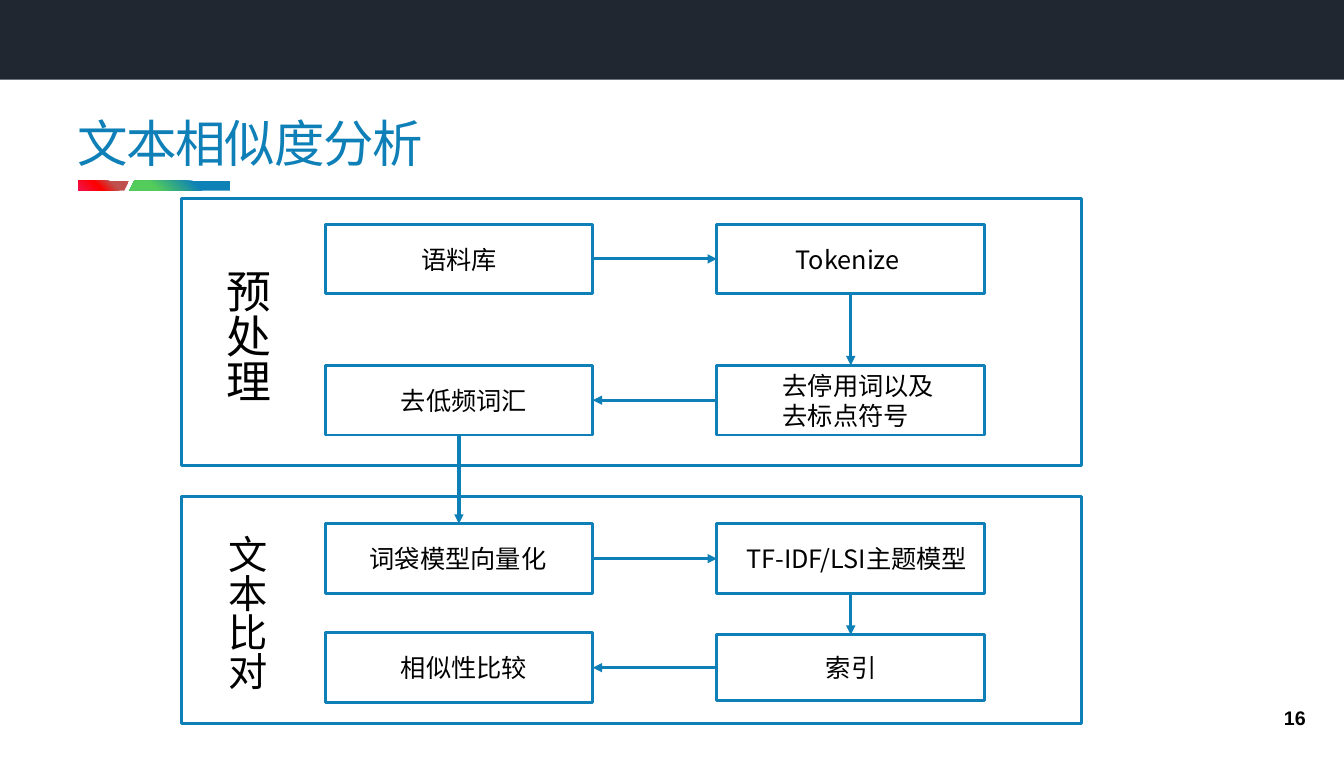
"""Build the text similarity slide: two framed stages of linked steps."""
from lxml import etree
from pptx import Presentation
from pptx.dml.color import RGBColor
from pptx.enum.shapes import MSO_CONNECTOR, MSO_SHAPE
from pptx.enum.text import MSO_ANCHOR, PP_ALIGN
from pptx.oxml import parse_xml
from pptx.oxml.ns import nsdecls, qn
from pptx.util import Inches, Pt

RECT = MSO_SHAPE.RECTANGLE
LINE = MSO_CONNECTOR.STRAIGHT
MID = MSO_ANCHOR.MIDDLE
LEFT, RIGHT = PP_ALIGN.LEFT, PP_ALIGN.RIGHT
TOP, WEST, BASE, EAST = range(4)
HAN = "Noto Sans CJK SC"
HUE = {"blue": "0E80B7", "navy": "202731", "black": "000000"}


def write(shape, text, size, hue="black", face=HAN, align=LEFT):
    frame = shape.text_frame
    frame.word_wrap = True
    frame.text = text
    para = frame.paragraphs[0]
    para.alignment = align
    font = para.runs[0].font
    font.size, font.name = Pt(size), face
    font.color.rgb = RGBColor.from_string(HUE[hue])
    etree.SubElement(para.runs[0]._r.get_or_add_rPr(), qn("a:ea")).set("typeface", face)
    return font


def box(left, top, width, height):
    shape = shapes.add_shape(RECT, *map(Inches, (left, top, width, height)))
    shape.shadow.inherit = False
    shape.fill.background()
    shape.line.color.rgb = RGBColor.from_string(HUE["blue"])
    shape.line.width = Pt(2.08)
    return shape


deck = Presentation()
deck.slide_width, deck.slide_height = Inches(13.31), Inches(7.5)
slide = deck.slides.add_slide(deck.slide_layouts[5])
shapes = slide.shapes

band = box(0, 0, 13.31, 0.79)
band.fill.solid()
band.fill.fore_color.rgb = RGBColor.from_string(HUE["navy"])
band.line.fill.background()

strips = [
    ([(0.78, 1.79), (1.28, 1.79), (1.23, 1.89), (0.78, 1.89)],
     [(0, "F0134E"), (40, "FF0000"), (68, "C0504D")]),
    ([(1.33, 1.79), (2.28, 1.79), (2.28, 1.89), (1.28, 1.89)],
     [(26, "54CC5B"), (67, "0E81B7")]),
]
for spots, stops in strips:
    spots = [(Inches(x), Inches(y)) for x, y in spots]
    pen = shapes.build_freeform(*spots[0])
    pen.add_line_segments(spots[1:])
    strip = pen.convert_to_shape()
    strip.shadow.inherit = False
    strip.line.fill.background()
    marks = "".join(f'<a:gs pos="{pos * 1000}"><a:srgbClr val="{hue}"/></a:gs>'
                    for pos, hue in stops)
    strip._element.spPr.find(qn("a:custGeom")).addnext(parse_xml(
        f'<a:gradFill {nsdecls("a")}><a:gsLst>{marks}</a:gsLst><a:path path="circle">'
        '<a:fillToRect t="100000" r="100000"/></a:path></a:gradFill>'))

title = shapes.title
title.left, title.top, title.width, title.height = map(Inches, (0.67, 0.97, 11.98, 0.87))
write(title, "文本相似度分析", 36, "blue")
title.text_frame.vertical_anchor = MID
title.text_frame.paragraphs[0].runs[0]._r.get_or_add_rPr().set("spc", "-100")

page = shapes.add_textbox(*map(Inches, (11.48, 6.93, 1.55, 0.36)))
write(page, "16", 14, face="Arial", align=RIGHT).bold = True
page.text_frame.vertical_anchor = MID

for top, height in [(1.97, 2.64), (4.92, 2.25)]:
    box(1.8, top, 8.91, height)

stages = [("预处理", 32, 2.03, 2.57, 0.74, 1.61), ("文本比对", 28, 2.06, 5.2, 0.67, 1.88)]
for text, size, *place in stages:
    stage = shapes.add_textbox(*map(Inches, place))
    write(stage, text, size)
    stage.text_frame._txBody.bodyPr.set("vert", "eaVert")

steps = [
    ("语料库", 3.22, 2.22, 0.69, 0.95, 0),
    ("Tokenize", 7.1, 2.22, 0.69, 0.78, 0),
    ("去停用词以及去标点符号", 7.1, 3.62, 0.69, 0.65, 0.4),
    ("去低频词汇", 3.22, 3.62, 0.69, 0.75, 0),
    ("词袋模型向量化", 3.22, 5.19, 0.69, 0.44, 0),
    ("TF-IDF/LSI主题模型", 7.1, 5.19, 0.69, 0.29, 0),
    ("索引", 7.1, 6.29, 0.65, 1.08, 0),
    ("相似性比较", 3.22, 6.27, 0.69, 0.75, 0),
]
nodes = []
for text, left, top, height, start, end in steps:
    node = box(left, top, 2.65, height)
    write(node, text, 18)
    frame = node.text_frame
    frame.vertical_anchor = MID
    frame.margin_left, frame.margin_right = Inches(start), Inches(end)
    frame.margin_top = frame.margin_bottom = 0
    nodes.append(node)

turns = [(EAST, WEST), (BASE, TOP), (WEST, EAST), (BASE, TOP)] * 2
for tail, head, (out, into) in zip(nodes, nodes[1:], turns):
    link = shapes.add_connector(LINE, 0, 0, 0, 0)
    link.begin_connect(tail, out)
    link.end_connect(head, into)
    link.line.color.rgb = RGBColor.from_string(HUE["blue"])
    link.line.width = Pt(2.25)
    etree.SubElement(link.line._get_or_add_ln(), qn("a:tailEnd")).set("type", "triangle")
    etree.SubElement(link._element.spPr, qn("a:effectLst"))

deck.save("out.pptx")
